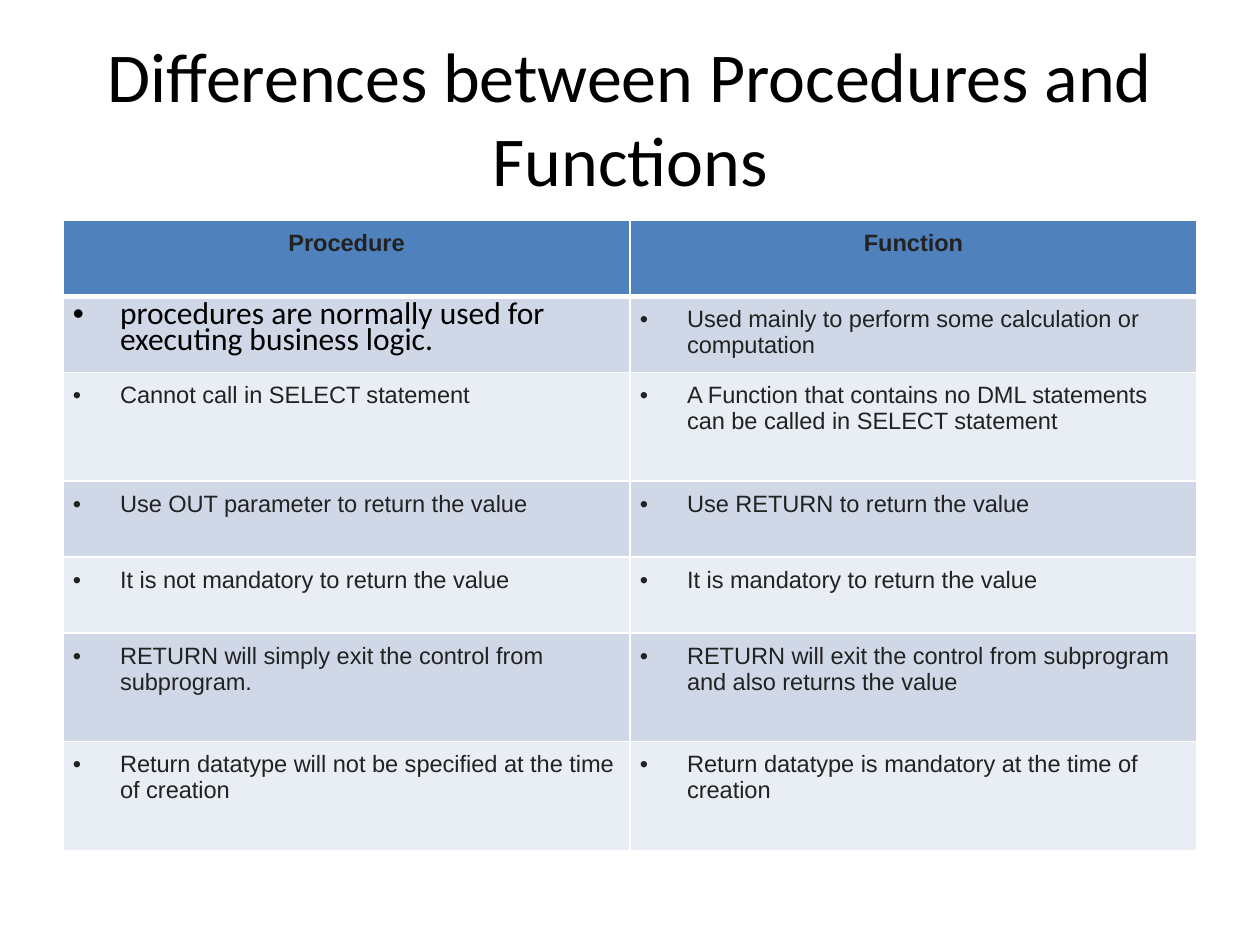
from lxml import etree
from pptx import Presentation
from pptx.dml.color import RGBColor
from pptx.enum.text import MSO_ANCHOR, PP_ALIGN
from pptx.oxml.ns import qn
from pptx.util import Cm, Pt

CENTER, LEFT = PP_ALIGN.CENTER, PP_ALIGN.LEFT
MIDDLE = MSO_ANCHOR.MIDDLE

BLACK = RGBColor(0x00, 0x00, 0x00)
DARK_GRAY = RGBColor(0x22, 0x22, 0x22)
WHITE = RGBColor(0xFF, 0xFF, 0xFF)
HEADER_BLUE = RGBColor(0x4F, 0x81, 0xBD)
BANDS = [RGBColor(0xD0, 0xD8, 0xE8), RGBColor(0xE9, 0xED, 0xF4)]

# Content
TITLE = "Differences between Procedures and Functions"
ROWS = [
    ("Procedure", "Function"),
    ("procedures are normally used for executing business logic.\u00a0",
     "Used mainly to perform some calculation or computation"),
    ("Cannot call in SELECT statement",
     "A Function that contains no DML statements can be called in SELECT statement"),
    ("Use OUT parameter to return the value", "Use RETURN to return the value"),
    ("It is not mandatory to return the value", "It is mandatory to return the value"),
    ("RETURN will simply exit the control from subprogram.",
     "RETURN will exit the control from subprogram and also returns the value"),
    ("Return datatype will not be specified at the time of creation",
     "Return datatype is mandatory at the time of creation"),
]
SHORT, TALL = Cm(1.53), Cm(2.19)
ROW_HEIGHTS = [SHORT, SHORT, TALL, SHORT, SHORT, TALL, TALL]
LARGE_CELL = (1, 0)

MARGIN, CONTENT_WIDTH = Cm(1.27), Cm(22.86)
INSET, INDENT = Cm(0.2), Cm(0.95)


def add_run(paragraph, text, font_name, size, color, bold=False):
    run = paragraph.add_run()
    run.text = text
    run.font.name = font_name
    run.font.size = Pt(size)
    run.font.color.rgb = color
    run.font.bold = bold


def add_bullet(paragraph):
    properties = paragraph._p.get_or_add_pPr()
    properties.set("marL", str(INDENT))
    properties.set("indent", str(-INDENT))
    etree.SubElement(properties, qn("a:buFont"), typeface="Arial")
    etree.SubElement(properties, qn("a:buChar"), char="•")


def set_borders(cell, widths):
    properties = cell._tc.get_or_add_tcPr()
    for side, width in widths.items():
        line = etree.SubElement(properties, qn("a:ln" + side), w=str(Pt(width)))
        fill = etree.SubElement(line, qn("a:solidFill"))
        etree.SubElement(fill, qn("a:srgbClr"), val=str(WHITE))


def fill_cell(cell, row, column, text):
    is_header = row == 0
    cell.margin_left = cell.margin_right = INSET
    cell.margin_top = cell.margin_bottom = INSET
    set_borders(cell, {"L": 1, "R": 1, "T": 3 if row == 1 else 1,
                       "B": 3 if is_header else 1})
    cell.fill.solid()
    cell.fill.fore_color.rgb = HEADER_BLUE if is_header else BANDS[(row - 1) % 2]

    paragraph = cell.text_frame.paragraphs[0]
    paragraph.alignment = CENTER if is_header else LEFT
    paragraph.line_spacing = Pt(15)
    paragraph.space_after = Pt(15 if is_header else 10)
    if not is_header:
        add_bullet(paragraph)
    if (row, column) == LARGE_CELL:
        add_run(paragraph, text, "Calibri", 18, BLACK)
    else:
        add_run(paragraph, text, "Arial", 13.5, DARK_GRAY, is_header)


presentation = Presentation()
presentation.slide_width, presentation.slide_height = Cm(25.4), Cm(19.05)
slide = presentation.slides.add_slide(presentation.slide_layouts[6])

# Title
title = slide.shapes.add_textbox(MARGIN, Cm(0.76), CONTENT_WIDTH, Cm(3.18))
title.text_frame.word_wrap = True
title.text_frame.vertical_anchor = MIDDLE
title_paragraph = title.text_frame.paragraphs[0]
title_paragraph.alignment = CENTER
add_run(title_paragraph, TITLE, "Calibri", 40, BLACK)

# Comparison table
table = slide.shapes.add_table(len(ROWS), 2, MARGIN, Cm(4.45),
                               CONTENT_WIDTH, sum(ROW_HEIGHTS)).table
for row, (height, texts) in enumerate(zip(ROW_HEIGHTS, ROWS)):
    table.rows[row].height = height
    for column, text in enumerate(texts):
        fill_cell(table.cell(row, column), row, column, text)

presentation.save("out.pptx")
